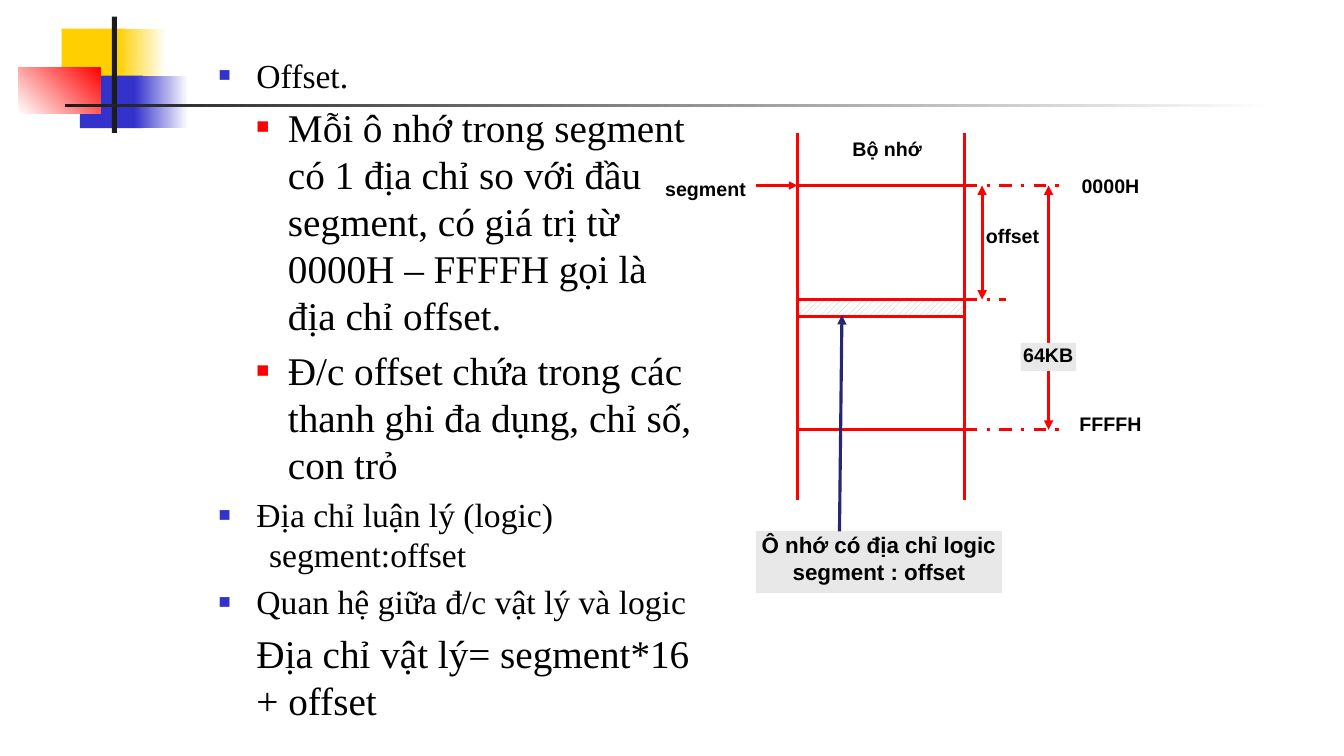
from lxml import etree
from pptx import Presentation
from pptx.dml.color import RGBColor
from pptx.enum.dml import MSO_LINE, MSO_PATTERN
from pptx.enum.shapes import MSO_CONNECTOR, MSO_SHAPE
from pptx.enum.text import MSO_ANCHOR, MSO_AUTO_SIZE, PP_ALIGN
from pptx.oxml.ns import qn
from pptx.util import Pt

RECTANGLE = MSO_SHAPE.RECTANGLE
CALLOUT = MSO_SHAPE.LINE_CALLOUT_1_NO_BORDER
STRAIGHT = MSO_CONNECTOR.STRAIGHT
DASH_DOT = MSO_LINE.DASH_DOT
DIAGONAL = MSO_PATTERN.WIDE_UPWARD_DIAGONAL
CENTER = PP_ALIGN.CENTER
TOP = MSO_ANCHOR.TOP

WHITE = RGBColor(0xFF, 0xFF, 0xFF)
BLACK = RGBColor(0x00, 0x00, 0x00)
CHARCOAL = RGBColor(0x1C, 0x1C, 0x1C)
YELLOW = RGBColor(0xFF, 0xCF, 0x01)
BLUE = RGBColor(0x33, 0x33, 0xCC)
RED = RGBColor(0xFF, 0x00, 0x00)
NAVY = RGBColor(0x26, 0x26, 0x73)
CYAN = RGBColor(0x00, 0xFF, 0xFF)
SILVER = RGBColor(0xC0, 0xC0, 0xC0)
PALE_GRAY = RGBColor(0xE8, 0xE8, 0xE8)

presentation = Presentation()
presentation.slide_width = Pt(960)
presentation.slide_height = Pt(540)
slide = presentation.slides.add_slide(presentation.slide_layouts[1])
shapes = slide.shapes
title = shapes.title.element
title.getparent().remove(title)


def add_box(kind, left, top, width, height):
    shape = shapes.add_shape(kind, Pt(left), Pt(top), Pt(width), Pt(height))
    shape.shadow.inherit = False
    shape.line.fill.background()
    return shape


def write_label(shape, lines, size):
    """Fill a shape with bold centred lines, starting at its top edge."""
    frame = shape.text_frame
    frame.word_wrap = False
    frame.vertical_anchor = TOP
    frame.margin_left = frame.margin_right = frame.margin_top = frame.margin_bottom = 0
    for index, line in enumerate(lines):
        paragraph = frame.add_paragraph() if index else frame.paragraphs[0]
        paragraph.alignment = CENTER
        run = paragraph.add_run()
        run.text = line
        run.font.name = "Arial"
        run.font.size = Pt(size)
        run.font.bold = True
        run.font.color.rgb = BLACK


# Corner ornament: left, top, width, height, start colour, end colour, angle
ornament = [
    (44, 20.5, 46, 37.5, YELLOW, None, 0),
    (84, 20.5, 34.5, 37.5, YELLOW, WHITE, 0),
    (57, 54, 45, 37.5, BLUE, None, 0),
    (96, 54, 38.5, 37.5, BLUE, WHITE, 0),
    (13, 48, 59, 33, WHITE, RED, 45),
    (80, 12, 3.5, 83, CHARCOAL, None, 0),
    (46.5, 74.5, 864, 2, CHARCOAL, WHITE, 0),
]
for left, top, width, height, start, end, angle in ornament:
    fill = add_box(RECTANGLE, left, top, width, height).fill
    if end is None:
        fill.solid()
        fill.fore_color.rgb = start
    else:
        fill.gradient()
        fill.gradient_angle = angle
        for stop, color in zip(fill.gradient_stops, (start, end)):
            stop.color.rgb = color

# Body text: level, left margin, first-line indent, size, bullet colour, bullet percent, lines
body_paragraphs = [
    (0, 27, -27, 24, BLUE, 60, ["Offset."]),
    (1, 49.5, -22.5, 28, RED, 55,
     ["Mỗi ô nhớ trong segment có 1 địa chỉ so với đầu segment, "
      "có giá trị từ 0000H – FFFFH gọi là địa chỉ offset."]),
    (1, 49.5, -22.5, 28, RED, 55,
     ["Đ/c offset chứa trong các thanh ghi đa dụng, chỉ số, con trỏ"]),
    (0, 27, -27, 24, BLUE, 60, ["Địa chỉ luận lý (logic)", "\tsegment:offset"]),
    (0, 27, -27, 24, BLUE, 60, ["Quan hệ giữa đ/c vật lý và logic"]),
    (1, 27, 0, 28, None, None, ["Địa chỉ vật lý= segment*16 + offset"]),
]
body = slide.placeholders[1]
body.left, body.top, body.width, body.height = Pt(149), Pt(35.5), Pt(354), Pt(381)
body_frame = body.text_frame
body_frame.word_wrap = True
body_frame.auto_size = MSO_AUTO_SIZE.NONE
body_frame.vertical_anchor = TOP
for index, (level, margin, indent, size, color, percent, lines) in enumerate(body_paragraphs):
    paragraph = body_frame.add_paragraph() if index else body_frame.paragraphs[0]
    paragraph.level = level
    properties = paragraph._p.get_or_add_pPr()
    properties.set("marL", str(Pt(margin)))
    properties.set("indent", str(Pt(indent)))
    if color is None:
        etree.SubElement(properties, qn("a:buNone"))
    else:
        bullet_color = etree.SubElement(properties, qn("a:buClr"))
        etree.SubElement(bullet_color, qn("a:srgbClr"), val=str(color))
        etree.SubElement(properties, qn("a:buSzPct"), val=str(percent * 1000))
        etree.SubElement(properties, qn("a:buFont"), typeface="Arial")
        etree.SubElement(properties, qn("a:buChar"), char="■")
    paragraph.space_before = Pt(size * 0.2 if index else 0)
    for number, line in enumerate(lines):
        if number:
            paragraph.add_line_break()
        run = paragraph.add_run()
        run.text = line
        run.font.name = "Times New Roman"
        run.font.size = Pt(size)
        run.font.color.rgb = BLACK

# Memory diagram
MEMORY_LEFT, MEMORY_RIGHT = 569.5, 689
SEGMENT_START, SEGMENT_END = 132.5, 307
CELL_TOP, CELL_BOTTOM = 214, 226
OFFSET_X, SIZE_X, GUIDE_END = 701.5, 749, 758

cell = add_box(RECTANGLE, MEMORY_LEFT, CELL_TOP,
               MEMORY_RIGHT - MEMORY_LEFT, CELL_BOTTOM - CELL_TOP)
cell.fill.patterned()
cell.fill.pattern = DIAGONAL
cell.fill.fore_color.rgb = SILVER
cell.fill.back_color.rgb = WHITE
cell.line.color.rgb = CYAN
cell.line.width = Pt(0.75)

# Lines: x and y of both ends, width, dash, arrowheads
lines = [(x, 95, x, 357, 2.25, None, ()) for x in (MEMORY_LEFT, MEMORY_RIGHT)]
lines += [(MEMORY_LEFT, y, MEMORY_RIGHT, y, 2.25, None, ())
          for y in (SEGMENT_START, CELL_TOP, CELL_BOTTOM, SEGMENT_END)]
lines += [(MEMORY_RIGHT, y, end, y, 2.25, DASH_DOT, ())
          for y, end in ((SEGMENT_START, GUIDE_END), (CELL_TOP, 718.5), (SEGMENT_END, GUIDE_END))]
lines += [(x, SEGMENT_START, x, y, 2.25, None, ("a:headEnd", "a:tailEnd"))
          for x, y in ((OFFSET_X, CELL_TOP), (SIZE_X, SEGMENT_END))]
lines.append((540, SEGMENT_START, MEMORY_LEFT, SEGMENT_START, 2, None, ("a:tailEnd",)))
for x1, y1, x2, y2, width, dash, arrowheads in lines:
    connector = shapes.add_connector(STRAIGHT, Pt(x1), Pt(y1), Pt(x2), Pt(y2))
    connector.line.color.rgb = RED
    connector.line.width = Pt(width)
    if dash is not None:
        connector.line.dash_style = dash
    for arrowhead in arrowheads:
        etree.SubElement(connector.line._get_or_add_ln(), qn(arrowhead), type="triangle")
    etree.SubElement(connector._element.spPr, qn("a:effectLst"))

labels = [
    ("segment", 471, 126.5, 66),
    ("offset", 703.5, 160, 39.5),
    ("0000H", 768, 124.5, 50.5),
    ("FFFFH", 768, 294.5, 50.5),
    ("Bộ nhớ", 606, 98, 55.5),
]
for text, left, top, width in labels:
    write_label(shapes.add_textbox(Pt(left), Pt(top), Pt(width), Pt(20)), [text], 14)

segment_size = add_box(RECTANGLE, 729, 245, 39.5, 20)
cell_callout = add_box(CALLOUT, 540, 379.5, 175.5, 44)
for shape in (segment_size, cell_callout):
    shape.fill.solid()
    shape.fill.fore_color.rgb = PALE_GRAY
write_label(segment_size, ["64KB"], 14)
write_label(cell_callout, ["Ô nhớ có địa chỉ logic", "segment : offset"], 16)

for index, value in enumerate((0, 0.34, -3.51, 0.35)):
    cell_callout.adjustments[index] = value
cell_callout.line.color.rgb = NAVY
cell_callout.line.width = Pt(2.25)
etree.SubElement(cell_callout.line._get_or_add_ln(), qn("a:tailEnd"), type="triangle")

presentation.save("out.pptx")
